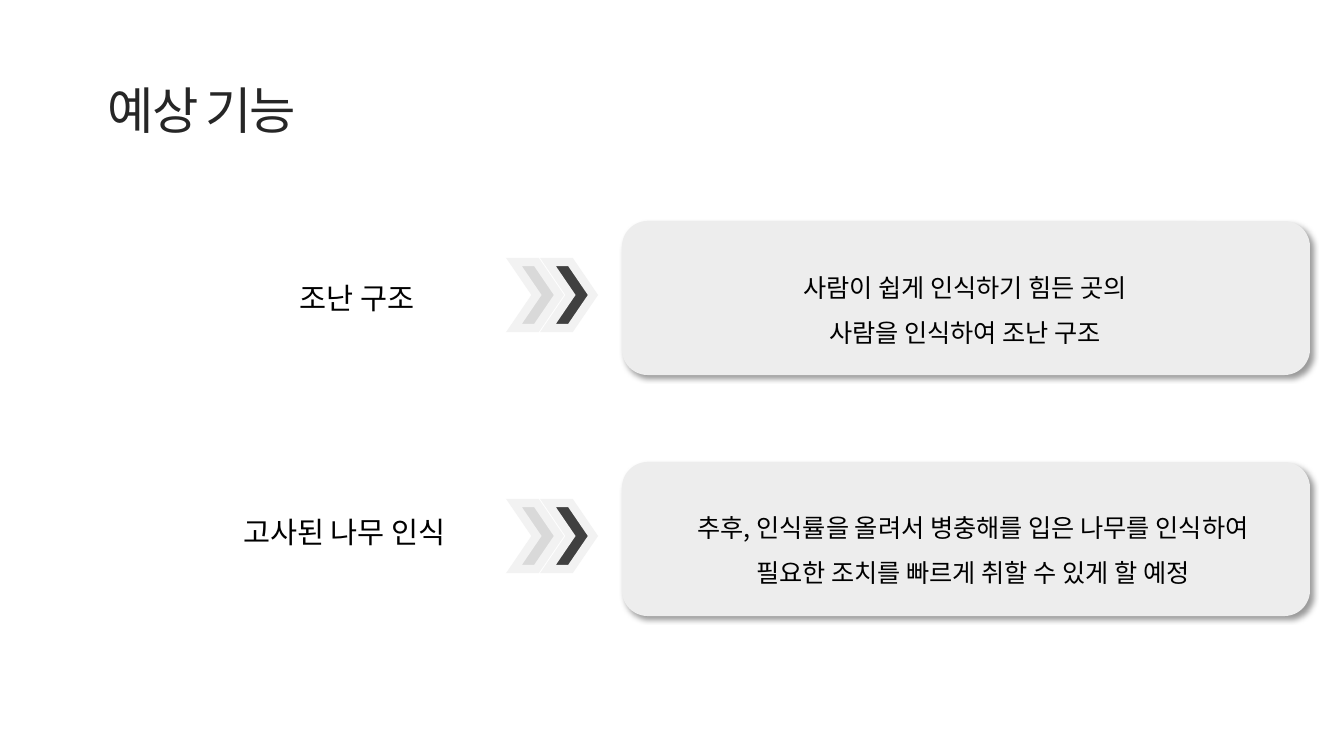
from lxml import etree
from pptx import Presentation
from pptx.dml.color import RGBColor
from pptx.enum.shapes import MSO_SHAPE
from pptx.enum.text import MSO_AUTO_SIZE, PP_ALIGN
from pptx.oxml.ns import qn
from pptx.util import Emu, Pt

ROUNDED = MSO_SHAPE.ROUNDED_RECTANGLE
CHEVRON = MSO_SHAPE.CHEVRON
FIT_SHAPE = MSO_AUTO_SIZE.SHAPE_TO_FIT_TEXT
LEFT, CENTER = PP_ALIGN.LEFT, PP_ALIGN.CENTER

FONT = "Noto Sans CJK KR"
BLACK = RGBColor(0x00, 0x00, 0x00)
TITLE_COLOR = RGBColor(0x26, 0x26, 0x26)
CARD_FILL = RGBColor(0xED, 0xED, 0xED)
CHEVRON_LINE = RGBColor(0xF2, 0xF2, 0xF2)
CHEVRON_LIGHT = RGBColor(0xD9, 0xD9, 0xD9)
CHEVRON_DARK = RGBColor(0x40, 0x40, 0x40)

TITLE = "예상 기능"
FEATURES = [
    {
        "label": "조난 구조",
        "label_area": (285, 275, 144, 45),
        "detail": "사람이 쉽게 인식하기 힘든 곳의\n사람을 인식하여 조난 구조",
        "detail_area": (629, 252, 672, 102),
    },
    {
        "label": "고사된 나무 인식",
        "label_area": (225, 509, 239, 45),
        "detail": "추후, 인식률을 올려서 병충해를 입은 나무를 인식하여\n필요한 조치를 빠르게 취할 수 있게 할 예정",
        "detail_area": (637, 492, 672, 97),
    },
]

EMU_PER_PX = 914400 / 100.8
CARD_TOP, ROW_STEP = 221, 241
CHEVRON_OFFSET = 41
CHEVRONS = [(514, CHEVRON_LIGHT), (548, CHEVRON_DARK)]


def px(*lengths):
    return [Emu(round(length * EMU_PER_PX)) for length in lengths]


def add_text(page, area, text, size, color=BLACK, align=CENTER,
             wrap=True, line_spacing=None, tracking=None):
    box = page.shapes.add_textbox(*px(*area))
    frame = box.text_frame
    frame.text = text
    frame.word_wrap = wrap
    frame.auto_size = FIT_SHAPE
    for para in frame.paragraphs:
        para.alignment = align
        para.line_spacing = line_spacing
        for span in para.runs:
            span.font.size = Pt(size)
            span.font.name = FONT
            span.font.color.rgb = color
            properties = span.font._element
            etree.SubElement(properties, qn("a:ea"), typeface=FONT)
            if tracking is not None:
                properties.set("spc", str(round(tracking * 100)))


def add_filled(page, kind, area, fill):
    shape = page.shapes.add_shape(kind, *px(*area))
    shape.shadow.inherit = False
    shape.fill.solid()
    shape.fill.fore_color.rgb = fill
    return shape


def add_card(page, top):
    card = add_filled(page, ROUNDED, (622, top, 688, 154), CARD_FILL)
    card.line.fill.background()
    effects = card._element.spPr.find(qn("a:effectLst"))
    shadow = etree.SubElement(
        effects, qn("a:outerShdw"), blurRad=str(Pt(4)), dist=str(Pt(3)),
        dir=str(45 * 60000), algn="tl", rotWithShape="0")
    color = etree.SubElement(shadow, qn("a:srgbClr"), val=str(BLACK))
    etree.SubElement(color, qn("a:alpha"), val="40000")


def add_chevron(page, left, top, fill):
    chevron = add_filled(page, CHEVRON, (left, top, 45, 66), fill)
    chevron.line.color.rgb = CHEVRON_LINE
    chevron.line.width = Pt(6)
    outline = chevron._element.spPr.find(qn("a:ln"))
    etree.SubElement(outline, qn("a:miter"), lim="800000")


def main():
    deck = Presentation()
    deck.slide_width, deck.slide_height = px(1344, 756)
    page = deck.slides.add_slide(deck.slide_layouts[6])
    add_text(page, (98, 74, 599, 72), TITLE, 36, TITLE_COLOR, LEFT, tracking=-1.5)
    for row, feature in enumerate(FEATURES):
        top = CARD_TOP + row * ROW_STEP
        add_card(page, top)
        add_text(page, feature["label_area"], feature["label"], 21, wrap=False)
        for left, fill in CHEVRONS:
            add_chevron(page, left, top + CHEVRON_OFFSET, fill)
        add_text(page, feature["detail_area"], feature["detail"], 18, line_spacing=1.5)
    deck.save("out.pptx")


if __name__ == "__main__":
    main()
